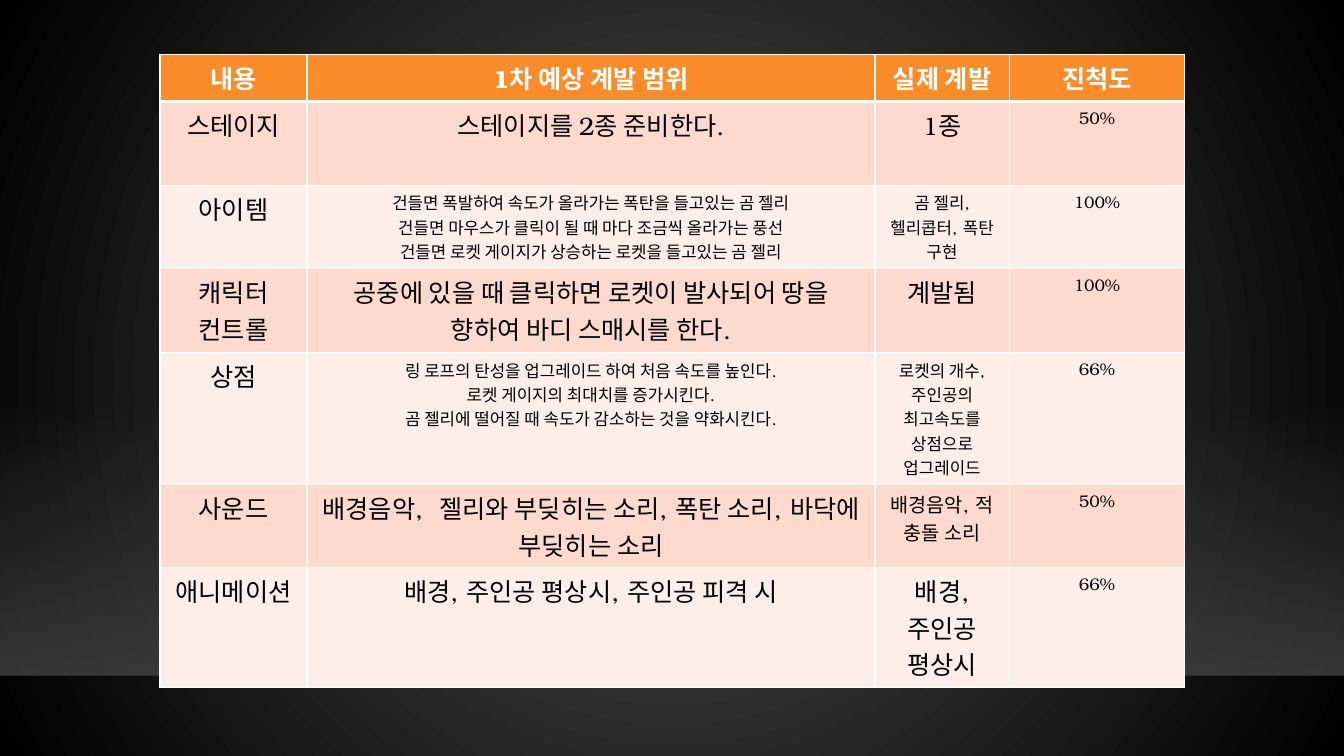
from dataclasses import dataclass

from lxml import etree
from pptx import Presentation
from pptx import util as u
from pptx.dml.color import RGBColor
from pptx.enum import shapes, text
from pptx.oxml import parse_xml
from pptx.oxml.ns import nsdecls, qn


@dataclass(frozen=True)
class Theme:
    font: str = "TeX Gyre Bonum"
    glow: str = "505050"
    dark: str = "000000"
    floor: str = "454545"
    horizon: str = "000001"
    header: str = "FB8C29"
    bands: tuple = ("FDDACD", "FEEEE8")
    light: str = "FFFFFF"
    large: int = 18
    medium: int = 14
    small: int = 12


def gradient(stops, direction):
    """Gradient fill from (position, colour, opacity) stops, all in percent."""
    marks = "".join(
        f'<a:gs pos="{pos * 1000}"><a:srgbClr val="{color}">'
        f'<a:alpha val="{opacity * 1000}"/></a:srgbClr></a:gs>'
        for pos, color, opacity in stops)
    return parse_xml(f'<a:gradFill {nsdecls("a")} rotWithShape="1">'
                     f'<a:gsLst>{marks}</a:gsLst>{direction}</a:gradFill>')


def write(tf, content, *, font, size, color, bold=False):
    for i, line in enumerate(content.split("\n")):
        p = tf.paragraphs[0] if i == 0 else tf.add_paragraph()
        p.alignment = text.PP_ALIGN.CENTER
        r = p.add_run()
        r.text = line
        r.font.name, r.font.size, r.font.bold = font, u.Pt(size), bold
        r.font.color.rgb = RGBColor.from_string(color)


class Deck:
    """Holds the theme and the current slide; lengths are percent of the slide."""

    def __init__(self, theme):
        self.theme = theme
        self.prs = Presentation()
        self.prs.slide_width, self.prs.slide_height = u.Inches(13.33), u.Inches(7.5)
        self.s = self.prs.slides.add_slide(self.prs.slide_layouts[6])

    def x(self, share):
        return round(self.prs.slide_width * share / 100)

    def y(self, share):
        return round(self.prs.slide_height * share / 100)

    def backdrop(self):
        t = self.theme
        self.s.background.fill.solid()
        fill = self.s.background._cSld.bg.bgPr.find(qn("a:solidFill"))
        center = ('<a:path path="circle"><a:fillToRect l="50000" t="50000" '
                  'r="50000" b="50000"/></a:path>')
        fill.getparent().replace(
            fill, gradient([(0, t.glow, 100), (100, t.dark, 100)], center))

    def floor(self, top, height):
        sp = self.s.shapes.add_shape(shapes.MSO_SHAPE.RECTANGLE, 0, self.y(top),
                                     self.prs.slide_width, self.y(height))
        sp.shadow.inherit = False
        sp.line.fill.background()
        sp.fill.solid()
        fill = sp._element.spPr.find(qn("a:solidFill"))
        color = self.theme.floor
        fill.getparent().replace(fill, gradient(
            [(0, color, 0), (100, color, 80)], '<a:lin ang="5400000" scaled="0"/>'))

    def horizon(self, top):
        line = self.s.shapes.add_connector(shapes.MSO_CONNECTOR.STRAIGHT, 0, self.y(top),
                                           self.prs.slide_width, self.y(top))
        line.line.width = u.Pt(1)
        line.line.color.rgb = RGBColor.from_string(self.theme.horizon)
        spPr = line._element.spPr
        etree.SubElement(spPr.find(".//" + qn("a:srgbClr")), qn("a:alpha"), val="20000")
        etree.SubElement(spPr, qn("a:effectLst"))

    def table(self, left, top, widths, heights, rows):
        """Each row is a list of (text, size) cells; the first row is the header."""
        table = self.s.shapes.add_table(
            len(heights), len(widths), self.x(left), self.y(top),
            self.x(sum(widths)), self.y(sum(heights))).table
        for column, width in zip(table.columns, widths):
            column.width = self.x(width)
        for i, (row, height) in enumerate(zip(rows, heights)):
            table.rows[i].height = self.y(height)
            for j, (content, size) in enumerate(row):
                self.cell(table.cell(i, j), content, size, i)

    def cell(self, cell, content, size, row):
        t = self.theme
        header = row == 0
        self.borders(cell, top=3 if row == 1 else 1, bottom=3 if header else 1)
        cell.fill.solid()
        cell.fill.fore_color.rgb = RGBColor.from_string(
            t.header if header else t.bands[(row - 1) % 2])
        write(cell.text_frame, content, font=t.font, size=size, bold=header,
              color=t.light if header else t.dark)

    def borders(self, cell, top, bottom):
        tcPr = cell._tc.get_or_add_tcPr()
        for side, width in (("L", 1), ("R", 1), ("T", top), ("B", bottom)):
            tcPr.append(parse_xml(
                f'<a:ln{side} {nsdecls("a")} w="{u.Pt(width)}"><a:solidFill>'
                f'<a:srgbClr val="{self.theme.light}"/></a:solidFill></a:ln{side}>'))


def main():
    theme = Theme()
    big, mid, small = theme.large, theme.medium, theme.small
    progress = [
        [("내용", big), ("1차 예상 계발 범위", big), ("실제 계발", big), ("진척도", big)],
        [("스테이지", big), ("스테이지를 2종 준비한다.", big), ("1종", big), ("50%", small)],
        [("아이템", big),
         ("건들면 폭발하여 속도가 올라가는 폭탄을 들고있는 곰 젤리\n"
          "건들면 마우스가 클릭이 될 때 마다 조금씩 올라가는 풍선\n"
          "건들면 로켓 게이지가 상승하는 로켓을 들고있는 곰 젤리", small),
         ("곰 젤리, 헬리콥터, 폭탄 구현", small), ("100%", small)],
        [("캐릭터 컨트롤", big),
         ("공중에 있을 때 클릭하면 로켓이 발사되어 땅을 향하여 바디 스매시를 한다.", big),
         ("계발됨", big), ("100%", small)],
        [("상점", big),
         ("링 로프의 탄성을 업그레이드 하여 처음 속도를 높인다.\n"
          "로켓 게이지의 최대치를 증가시킨다.\n"
          "곰 젤리에 떨어질 때 속도가 감소하는 것을 약화시킨다.", small),
         ("로켓의 개수, 주인공의 최고속도를 상점으로 업그레이드", small), ("66%", small)],
        [("사운드", big),
         ("배경음악,  젤리와 부딪히는 소리, 폭탄 소리, 바닥에 부딪히는 소리", big),
         ("배경음악, 적 충돌 소리", mid), ("50%", small)],
        [("애니메이션", big), ("배경, 주인공 평상시, 주인공 피격 시", big),
         ("배경, 주인공 평상시", big), ("66%", small)],
    ]
    deck = Deck(theme)
    deck.backdrop()
    deck.floor(top=52.8, height=36.6)
    deck.horizon(top=89.4)
    deck.table(left=11.9, top=7.2, widths=[10.95, 42.25, 10, 13.05],
               heights=[5.2, 11.1, 10.4, 11.1, 10.4, 10.4, 10.4], rows=progress)
    deck.prs.save("out.pptx")


if __name__ == "__main__":
    main()
